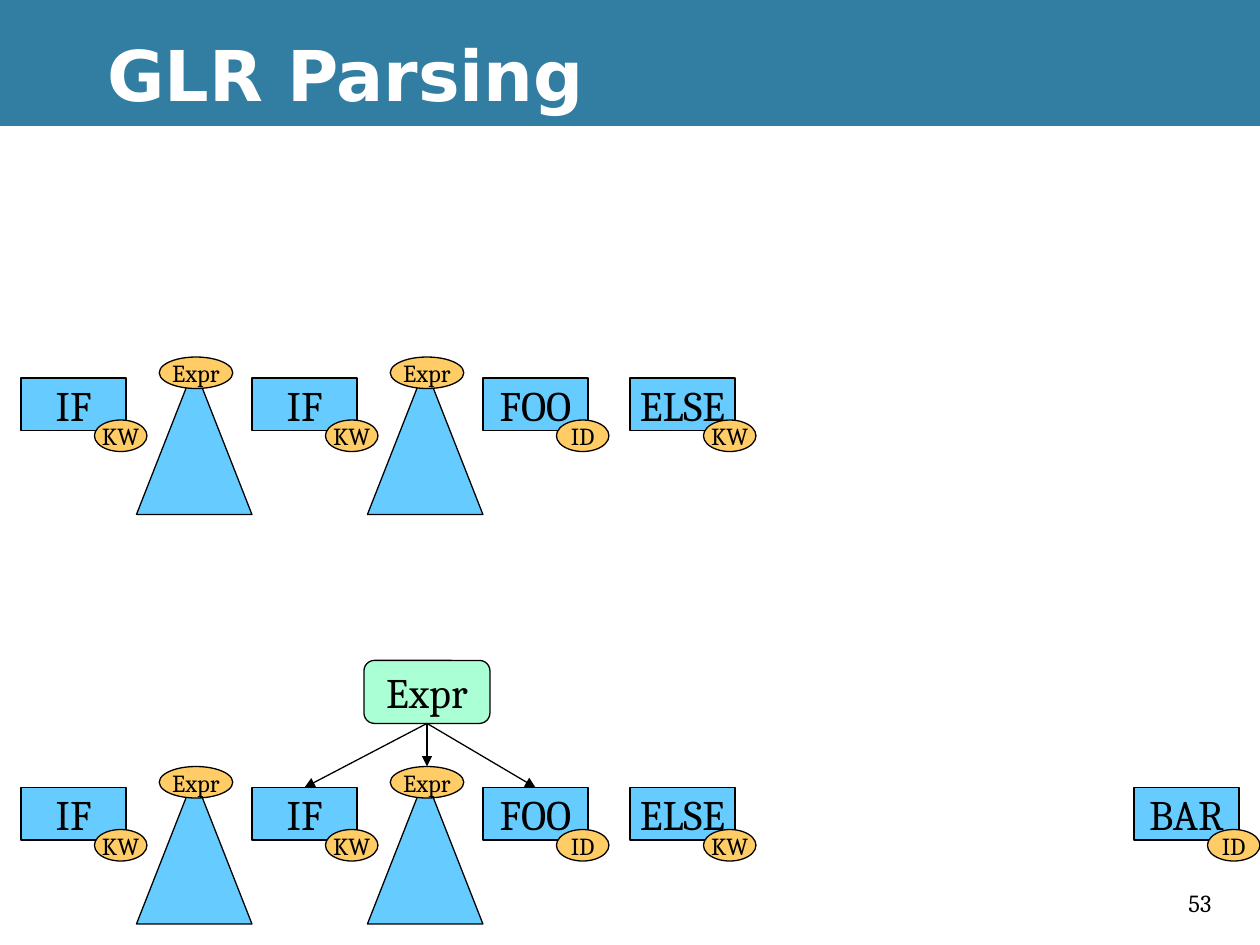
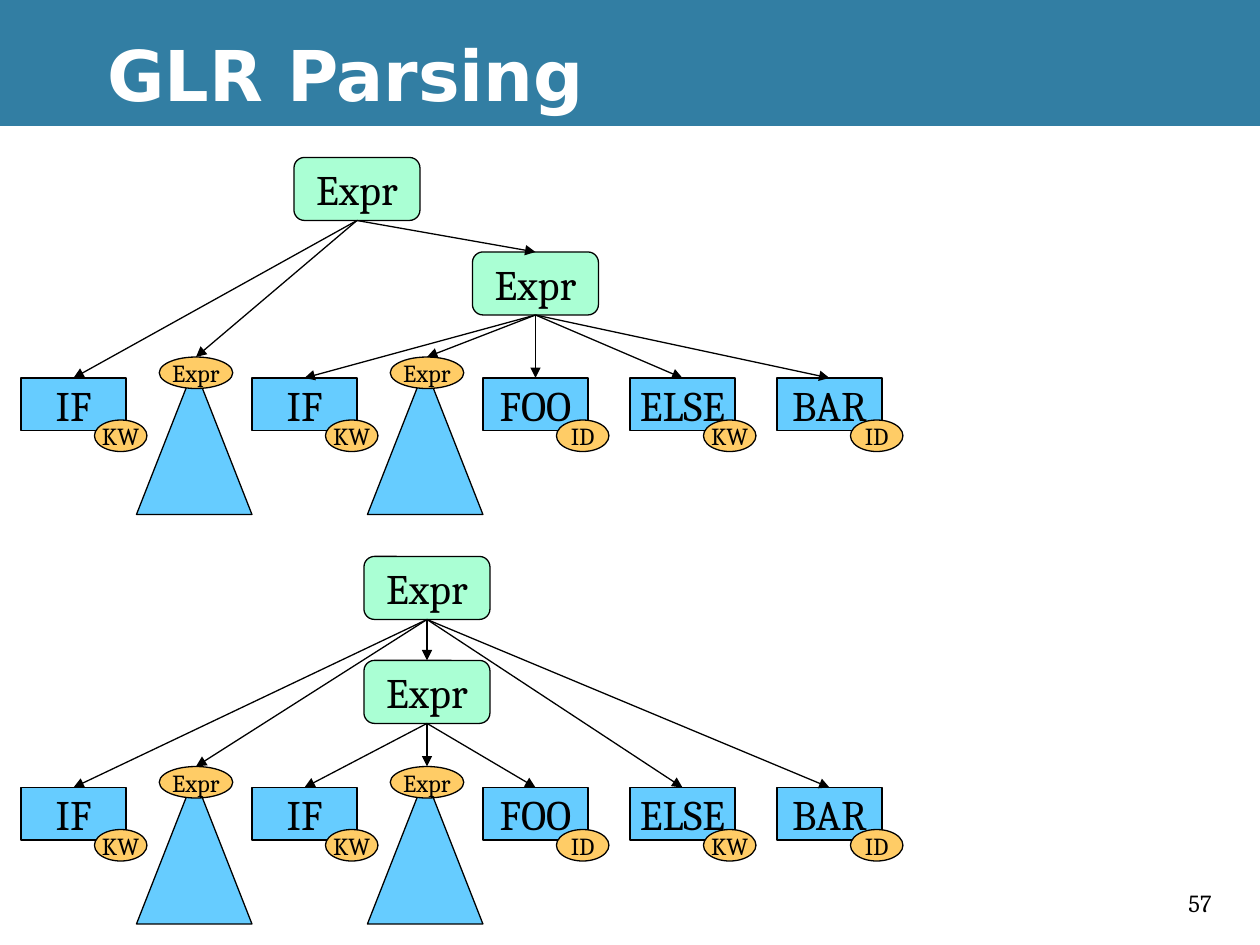
from dataclasses import dataclass

from lxml import etree
from pptx import Presentation
from pptx import util as u
from pptx.dml.color import RGBColor
from pptx.enum import shapes, text
from pptx.oxml import ns


@dataclass(frozen=True)
class Theme:
    band: str = "327EA3"
    paper: str = "FFFFFF"
    ink: str = "000000"
    token: str = "66CCFF"
    tag: str = "FFCC66"
    node: str = "AAFFD4"
    title_font: str = "DejaVu Sans"
    body_font: str = "Cambria"
    title_size: int = 40
    label_size: int = 24
    small_size: int = 14
    line_width: float = 0.75


theme = Theme()
presentation = Presentation()
presentation.slide_width, presentation.slide_height = u.Inches(10), u.Inches(7.5)
COLUMNS = 120
UNIT = presentation.slide_width / COLUMNS  # square cells: 120 columns, 90 rows
KIND = shapes.MSO_SHAPE


def add_run(paragraph, words, size, colour=theme.ink, name=theme.body_font):
    run = paragraph.add_run()
    run.text = words
    run.font.size = u.Pt(size)
    run.font.name = name
    run.font.color.rgb = RGBColor.from_string(colour)
    return run


def add_block(parent, kind, box, fill, label="", size=theme.label_size, outlined=True):
    """Add a filled shape; box is column, row, width and height in grid cells."""
    shape = parent.add_shape(kind, *(round(cells * UNIT) for cells in box))
    shape.shadow.inherit = False
    shape.fill.solid()
    shape.fill.fore_color.rgb = RGBColor.from_string(fill)
    if outlined:
        shape.line.color.rgb = RGBColor.from_string(theme.ink)
        shape.line.width = u.Pt(theme.line_width)
    else:
        shape.line.fill.background()
    if label:
        frame = shape.text_frame
        frame.word_wrap = False
        frame.vertical_anchor = text.MSO_ANCHOR.MIDDLE
        frame.paragraphs[0].alignment = text.PP_ALIGN.CENTER
        add_run(frame.paragraphs[0], label, size)
    return shape


# Leaves: name -> (column, token, tag); a leaf without a token is a parsed subtree
LEAVES = {
    "outer if": (2, "IF", "KW"),
    "outer condition": (13, None, "Expr"),
    "inner if": (24, "IF", "KW"),
    "inner condition": (35, None, "Expr"),
    "foo": (46, "FOO", "ID"),
    "else": (60, "ELSE", "KW"),
    "bar": (74, "BAR", "ID"),
}
UPCOMING_BAR = {"bar": (108, "BAR", "ID")}
SEEN = {name: leaf for name, leaf in LEAVES.items() if name != "bar"}
TOP_ROW, BOTTOM_ROW = 36, 75

# Nodes, from the leaves up: name -> (column, row, children)
SHORT_IF = {"inner": (34.67, 62.9, ["inner if", "inner condition", "foo"])}
ELSE_WITH_OUTER = SHORT_IF | {
    "outer": (34.67, 53, ["outer if", "outer condition", "inner", "else", "bar"]),
}
ELSE_WITH_INNER = {
    "inner": (45, 24, ["inner if", "inner condition", "foo", "else", "bar"]),
    "outer": (28, 15, ["outer if", "outer condition", "inner"]),
}

# Slide number -> parses as (leaf row, leaves, nodes)
SLIDES = {
    53: [(TOP_ROW, SEEN, {}), (BOTTOM_ROW, SEEN | UPCOMING_BAR, SHORT_IF)],
    57: [(TOP_ROW, LEAVES, ELSE_WITH_INNER), (BOTTOM_ROW, LEAVES, ELSE_WITH_OUTER)],
}

layout = presentation.slide_layouts.get_by_name("Title Only")
layout_title = layout.placeholders[0]
layout_title.left, layout_title.top = round(9 * UNIT), round(UNIT)
layout_title.width, layout_title.height = round(111 * UNIT), round(12 * UNIT)

for number, parses in SLIDES.items():
    slide = presentation.slides.add_slide(layout)

    # The page and band belong to the layout, so they are moved there once
    if len(presentation.slides) == 1:
        page = add_block(slide.shapes, KIND.RECTANGLE, (0, 12, COLUMNS, 78), theme.paper, outlined=False)
        band = add_block(slide.shapes, KIND.RECTANGLE, (0, 0, COLUMNS, 12), theme.band, outlined=False)
        for backdrop in (page, band):
            layout_title.element.addprevious(backdrop.element)

    title = slide.shapes.title.text_frame
    title.auto_size = text.MSO_AUTO_SIZE.NONE
    title.vertical_anchor = text.MSO_ANCHOR.MIDDLE
    title.paragraphs[0].alignment = text.PP_ALIGN.LEFT
    add_run(title.paragraphs[0], "GLR Parsing", theme.title_size, theme.paper, theme.title_font).font.bold = True

    number_box = slide.shapes.add_textbox(*(round(cells * UNIT) for cells in (112, 84, 6, 4)))
    number_box.text_frame.word_wrap = True
    add_run(number_box.text_frame.paragraphs[0], str(number), theme.small_size)

    for leaf_row, leaves, nodes in parses:
        targets = {}
        for name, (column, token, tag) in leaves.items():
            group = slide.shapes.add_group_shape().shapes
            if token:
                targets[name] = add_block(group, KIND.RECTANGLE, (column, leaf_row, 10, 5), theme.token, token)
                tag_box = (column + 7, leaf_row + 4, 5, 3)
            else:
                add_block(group, KIND.ISOSCELES_TRIANGLE, (column, leaf_row - 1, 11, 14), theme.token)
                tag_box = (column + 2.17, leaf_row - 2, 7, 3)
            tag_shape = add_block(group, KIND.OVAL, tag_box, theme.tag, tag, theme.small_size)
            targets.setdefault(name, tag_shape)

        for name, (column, row, children) in nodes.items():
            node = add_block(slide.shapes, KIND.ROUNDED_RECTANGLE, (column, row, 12, 6), theme.node, "Expr")
            targets[name] = node
            for child in children:
                arrow = slide.shapes.add_connector(shapes.MSO_CONNECTOR.STRAIGHT, 0, 0, 0, 0)
                arrow.begin_connect(node, 2)
                arrow.end_connect(targets[child], 0)
                arrow.line.color.rgb = RGBColor.from_string(theme.ink)
                arrow.line.width = u.Pt(theme.line_width)
                etree.SubElement(arrow.line._get_or_add_ln(), ns.qn("a:tailEnd"), type="triangle")
                etree.SubElement(arrow.element.spPr, ns.qn("a:effectLst"))

presentation.save("out.pptx")
